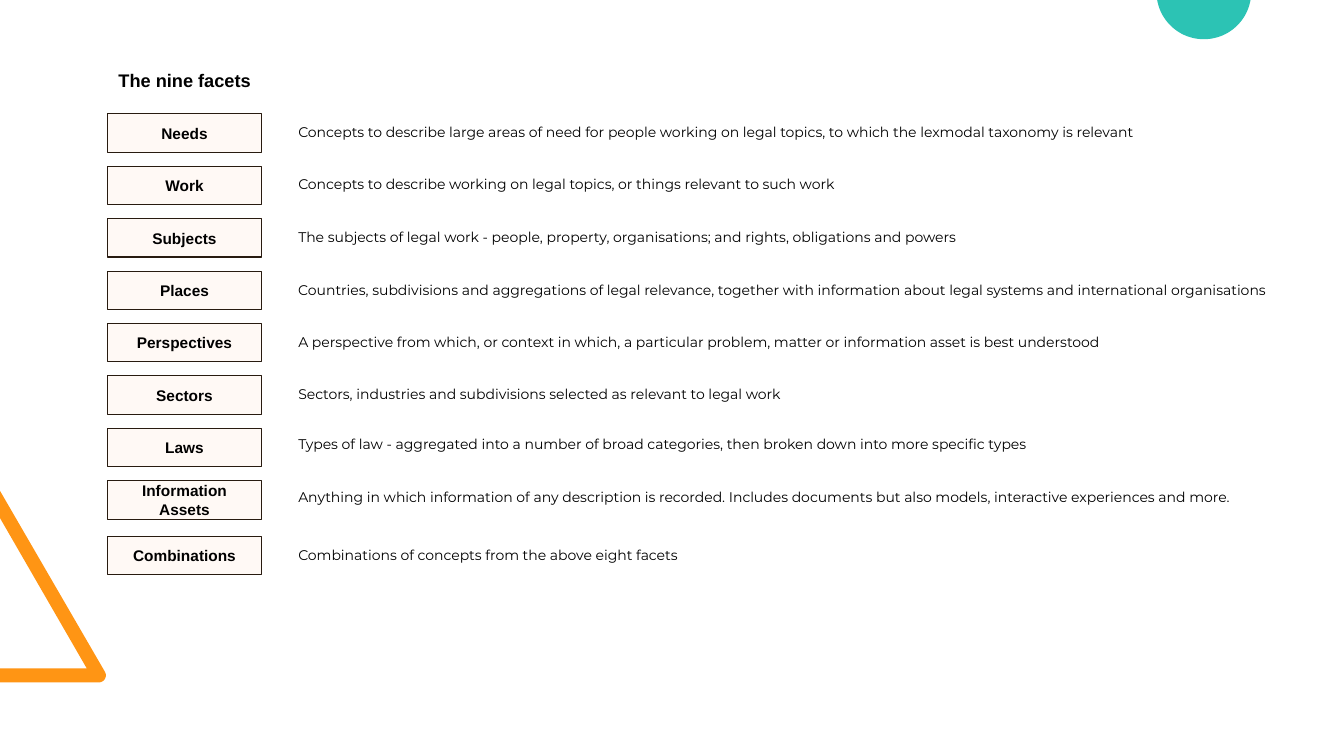
"""Build a slide that lists the nine facets of a legal taxonomy."""
import math

import pptx
import pptx.dml.color
import pptx.enum.shapes
import pptx.enum.text
import pptx.util

Inches = pptx.util.Inches
Pt = pptx.util.Pt
RGBColor = pptx.dml.color.RGBColor
COLORS = {
    "orange": "FF9514",
    "teal": "2CC3B4",
    "cream": "FFF9F5",
    "brown": "281B10",
    "black": "000000",
}
LABEL_LEFT, LABEL_WIDTH, LABEL_HEIGHT = 1.07, 1.52, 0.38
FIRST_TOP, ROW_STEP, LAST_TOP = 1.13, 0.52, 5.32

FACETS = [
    ("Needs", 1.14, 9.69, "Concepts to describe large areas of need for people working on legal topics, "
     "to which the lexmodal taxonomy is relevant"),
    ("Work", 1.66, 9.69, "Concepts to describe working on legal topics, or things relevant to such work"),
    ("Subjects", 2.18, 9.69, "The subjects of legal work - people, property, organisations; "
     "and rights, obligations and powers"),
    ("Places", 2.71, 9.93, "Countries, subdivisions and aggregations of legal relevance, together with "
     "information about legal systems and international organisations"),
    ("Perspectives", 3.23, 9.69, "A perspective from which, or context in which, a particular problem, "
     "matter or information asset is best understood"),
    ("Sectors", 3.74, 9.69, "Sectors, industries and subdivisions selected as relevant to legal work"),
    ("Laws", 4.24, 9.69, "Types of law - aggregated into a number of broad categories, "
     "then broken down into more specific types"),
    ("Information Assets", 4.76, 9.69, "Anything in which information of any description is recorded. "
     "Includes documents but also models, interactive experiences and more."),
    ("Combinations", 5.34, 9.69, "Combinations of concepts from the above eight facets"),
]


def arc(center_x, center_y, radius, start, end, steps):
    """Return points on an arc, with angles in degrees running clockwise."""
    angles = [math.radians(start + (end - start) * step / steps) for step in range(steps + 1)]
    return [(center_x + radius * math.cos(angle), center_y + radius * math.sin(angle)) for angle in angles]


def write(shape, text, font_name, size, bold, centered):
    """Fill a shape with one formatted paragraph."""
    frame = shape.text_frame
    frame.word_wrap = True
    frame.margin_left = frame.margin_right = Inches(0.1)
    frame.margin_top = frame.margin_bottom = Inches(0.1)
    anchors = pptx.enum.text.MSO_ANCHOR
    frame.vertical_anchor = anchors.MIDDLE if centered else anchors.TOP
    paragraph = frame.paragraphs[0]
    paragraph.text = text
    alignments = pptx.enum.text.PP_ALIGN
    paragraph.alignment = alignments.CENTER if centered else alignments.LEFT
    paragraph.font.name = font_name
    paragraph.font.size = Pt(size)
    paragraph.font.bold = bold
    paragraph.font.color.rgb = RGBColor.from_string(COLORS["black"])


presentation = pptx.Presentation()
presentation.slide_width = Inches(13.33)
presentation.slide_height = Inches(7.5)
slide = presentation.slides.add_slide(presentation.slide_layouts[6])

triangle = [(0, 6.77), (0, 6.63), (0.86, 6.63), (0, 5.14), (0, 4.87)] + arc(0.98, 6.7, 0.07, -30, 90, 12)
half_disc = arc(11.94, -0.08, 0.47, 170, 10, 48)
for points, color in [(triangle, "orange"), (half_disc, "teal")]:
    corners = [(Inches(x), Inches(max(y, 0))) for x, y in points]
    builder = slide.shapes.build_freeform(*corners[0])
    builder.add_line_segments(corners[1:], close=True)
    decoration = builder.convert_to_shape()
    decoration.shadow.inherit = False
    decoration.fill.solid()
    decoration.fill.fore_color.rgb = RGBColor.from_string(COLORS[color])
    decoration.line.fill.background()

heading = slide.shapes.add_textbox(
    Inches(LABEL_LEFT), Inches(0.61), Inches(LABEL_WIDTH), Inches(LABEL_HEIGHT))
write(heading, "The nine facets", "Arial", 13, True, True)

for row, (name, text_top, text_width, description) in enumerate(FACETS):
    label_top = LAST_TOP if name == "Combinations" else FIRST_TOP + row * ROW_STEP
    label = slide.shapes.add_shape(
        pptx.enum.shapes.MSO_SHAPE.RECTANGLE,
        Inches(LABEL_LEFT), Inches(label_top), Inches(LABEL_WIDTH), Inches(LABEL_HEIGHT))
    label.shadow.inherit = False
    label.fill.solid()
    label.fill.fore_color.rgb = RGBColor.from_string(COLORS["cream"])
    label.line.color.rgb = RGBColor.from_string(COLORS["brown"])
    label.line.width = Pt(0.75)
    write(label, name, "Arial", 11, True, True)

    text_box = slide.shapes.add_textbox(
        Inches(2.86), Inches(text_top), Inches(text_width), Inches(0.37))
    write(text_box, description, "Montserrat", 10, False, False)

presentation.save("out.pptx")
